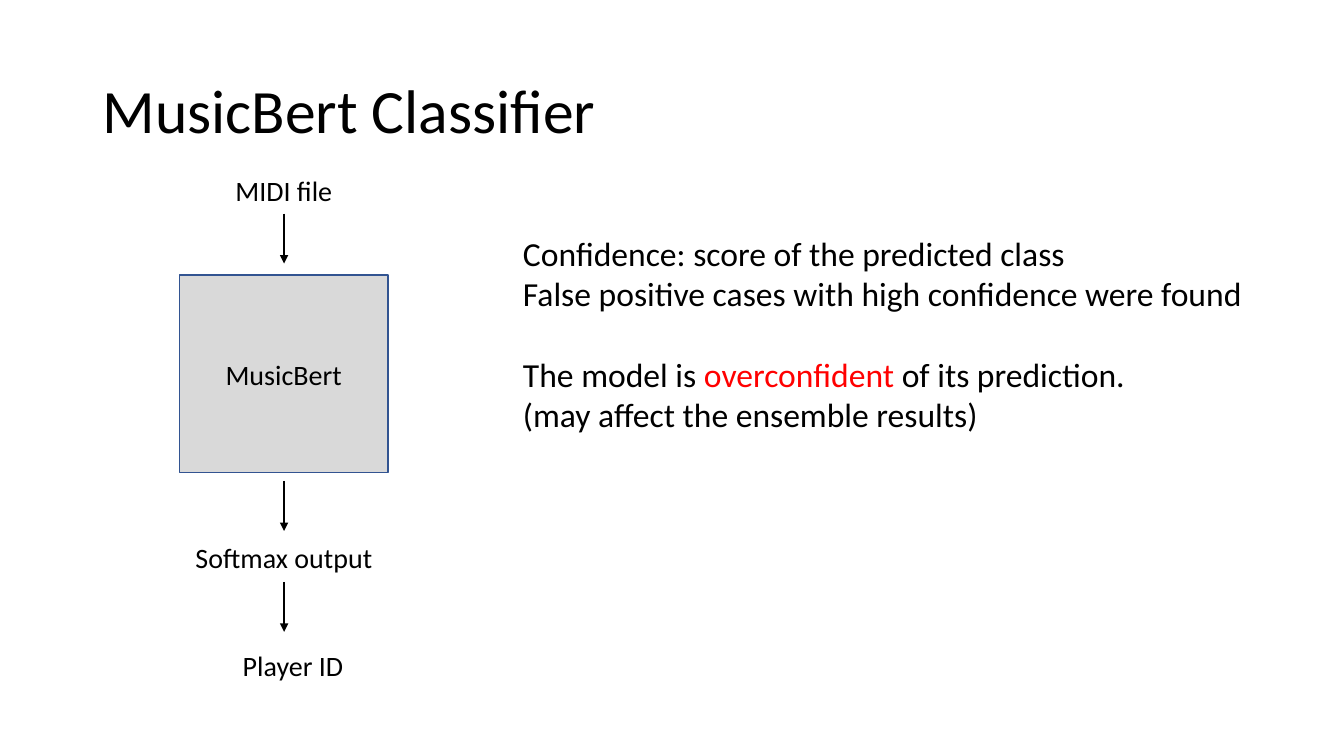
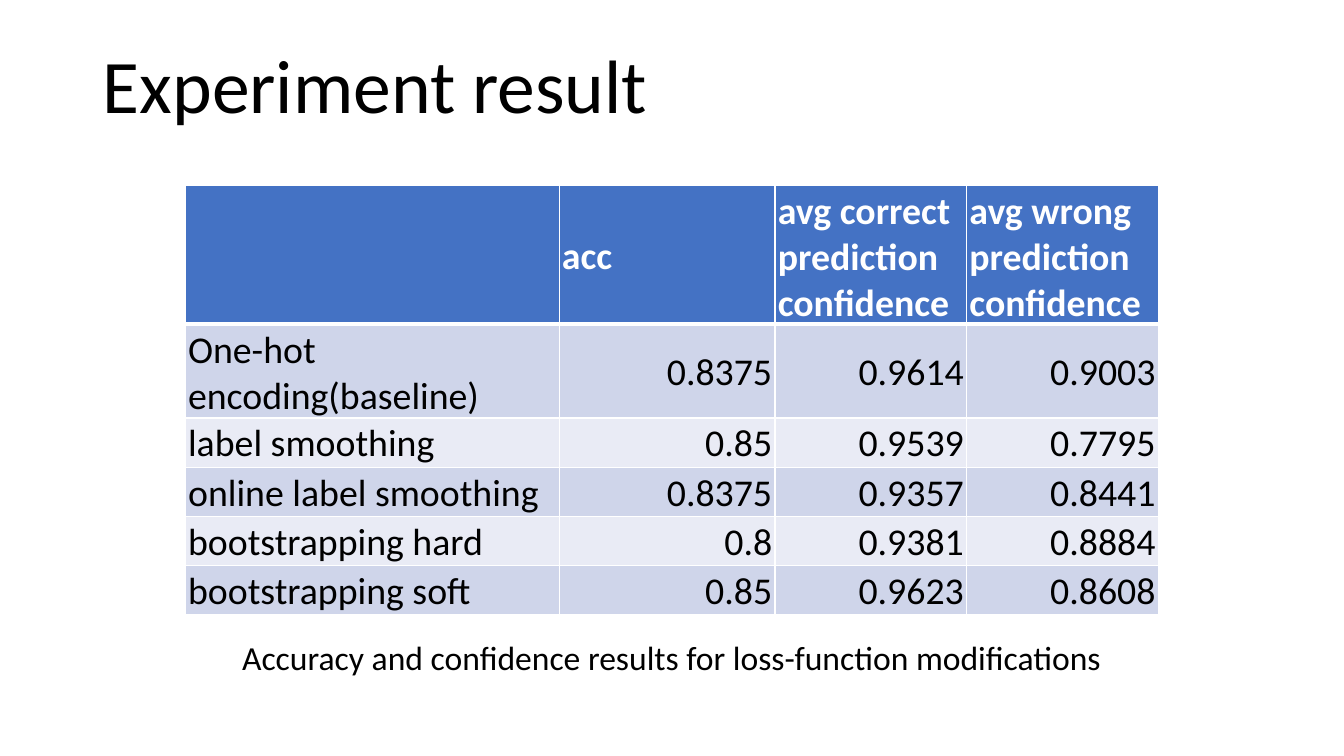
from lxml import etree
from pptx import Presentation
from pptx import util as u
from pptx.dml.color import RGBColor
from pptx.enum import shapes, text
from pptx.oxml.ns import qn

COLORS = {
    "text": "000000", "accent": "FF0000", "box": "D9D9D9", "outline": "325491",
    "header": "4472C4", "white": "FFFFFF", "band_dark": "CFD5EA", "band_light": "E9EBF5",
}
FONT = "Calibri"
LEFT, CENTER, RIGHT = text.PP_ALIGN.LEFT, text.PP_ALIGN.CENTER, text.PP_ALIGN.RIGHT
TOP, MIDDLE, BOTTOM = text.MSO_ANCHOR.TOP, text.MSO_ANCHOR.MIDDLE, text.MSO_ANCHOR.BOTTOM


def write(frame, paragraphs, size, align=LEFT, bold=False):
    """Fill a text frame; each paragraph is a list of (words, color name) runs."""
    frame.word_wrap = True
    for index, runs in enumerate(paragraphs):
        paragraph = frame.paragraphs[0] if index == 0 else frame.add_paragraph()
        paragraph.alignment = align
        for words, color in runs:
            run = paragraph.add_run()
            run.text = words
            run.font.name = FONT
            run.font.size = u.Pt(size)
            run.font.bold = bold
            run.font.color.rgb = RGBColor.from_string(COLORS[color])


def add_text(slide, area, paragraphs, size, align=LEFT, anchor=TOP):
    """Add a text box at (left, top, width, height) in centimetres."""
    frame = slide.shapes.add_textbox(*map(u.Cm, area)).text_frame
    frame.vertical_anchor = anchor
    write(frame, paragraphs, size, align)
    return frame


presentation = Presentation()
presentation.slide_width, presentation.slide_height = u.Cm(33.87), u.Cm(19.05)

# Slides and their titles
titles = [
    ("MusicBert Classifier", 1.02, 3.68, 44, MIDDLE),
    ("Experiment result", 0.81, 2.59, 54, BOTTOM),
]
slides = []
for title, top, height, size, anchor in titles:
    slide = presentation.slides.add_slide(presentation.slide_layouts[6])
    frame = add_text(slide, (2.34, top, 29.21, height), [[(title, "text")]], size, anchor=anchor)
    frame.paragraphs[0].line_spacing = 0.9
    slides.append(slide)
classifier_slide, result_slide = slides

# Classifier: model box
model = classifier_slide.shapes.add_shape(
    shapes.MSO_SHAPE.RECTANGLE, u.Cm(4.52), u.Cm(6.93), u.Cm(5.26), u.Cm(4.98))
model.shadow.inherit = False
model.fill.solid()
model.fill.fore_color.rgb = RGBColor.from_string(COLORS["box"])
model.line.color.rgb = RGBColor.from_string(COLORS["outline"])
model.line.width = u.Pt(1)
model.text_frame.vertical_anchor = MIDDLE
write(model.text_frame, [[("MusicBert", "text")]], 20, CENTER)

# Classifier: labels of the flow
for label, left, top in [("MIDI file", 3.61, 4.24), ("Softmax output", 3.61, 13.49),
                         ("Player ID", 3.84, 16.21)]:
    add_text(classifier_slide, (left, top, 7.09, 1.12), [[(label, "text")]], 20, CENTER)

# Classifier: arrows on the axis of the flow
axis, arrow_length = u.Cm(7.16), 1.26
for top in (5.38, 12.12, 14.66):
    arrow = classifier_slide.shapes.add_connector(
        shapes.MSO_CONNECTOR.STRAIGHT, axis, u.Cm(top), axis, u.Cm(top + arrow_length))
    arrow.line.color.rgb = RGBColor.from_string(COLORS["text"])
    arrow.line.width = u.Pt(1.5)
    etree.SubElement(arrow.line._get_or_add_ln(), qn("a:tailEnd"), type="triangle")
    etree.SubElement(arrow._element.spPr, qn("a:effectLst"))

# Classifier: remarks in two groups
remarks = add_text(classifier_slide, (12.93, 5.74, 19.41, 5.38), [
    [("Confidence: score of the predicted class", "text")],
    [("False positive cases with high confidence were found", "text")],
    [("The model is ", "text"), ("overconfident", "accent"), (" of its prediction.", "text")],
    [("(may affect the ensemble results)", "text")],
], 24)
remarks.paragraphs[2].space_before = u.Pt(29)

# Result: table
rows = [
    ("", "acc", "avg correct prediction confidence", "avg wrong prediction confidence"),
    ("One-hot encoding(baseline)", "0.8375", "0.9614", "0.9003"),
    ("label smoothing", "0.85", "0.9539", "0.7795"),
    ("online label smoothing", "0.8375", "0.9357", "0.8441"),
    ("bootstrapping hard", "0.8", "0.9381", "0.8884"),
    ("bootstrapping soft", "0.85", "0.9623", "0.8608"),
]
column_widths = [9.42, 5.44, 4.83, 4.83]
row_heights = [3.18, 2.21] + [1.24] * 4
table = result_slide.shapes.add_table(
    len(rows), len(column_widths), u.Cm(4.67), u.Cm(4.67),
    u.Cm(sum(column_widths)), u.Cm(sum(row_heights))).table
for column, width in zip(table.columns, column_widths):
    column.width = u.Cm(width)
for row, height in zip(table.rows, row_heights):
    row.height = u.Cm(height)

for row_index, row in enumerate(rows):
    is_header = row_index == 0
    fill = "header" if is_header else "band_dark" if row_index % 2 else "band_light"
    # A thick rule separates the header from the body
    borders = {"lnL": 1, "lnR": 1, "lnT": 3 if row_index == 1 else 1, "lnB": 3 if is_header else 1}
    for column_index, words in enumerate(row):
        cell = table.cell(row_index, column_index)
        cell.margin_left = cell.margin_right = cell.margin_top = u.Cm(0.07)
        cell.margin_bottom = 0
        cell.vertical_anchor = MIDDLE
        properties = cell._tc.get_or_add_tcPr()
        for side, points in borders.items():
            border = etree.SubElement(properties, qn("a:" + side), w=str(u.Pt(points)))
            border_fill = etree.SubElement(border, qn("a:solidFill"))
            etree.SubElement(border_fill, qn("a:srgbClr"), val=COLORS["white"])
        cell.fill.solid()
        cell.fill.fore_color.rgb = RGBColor.from_string(COLORS[fill])
        if words:
            align = LEFT if is_header or column_index == 0 else RIGHT
            color = "white" if is_header else "text"
            write(cell.text_frame, [[(words, color)]], 27, align, is_header)

# Result: caption
add_text(result_slide, (4.9, 15.93, 24.05, 1.27),
         [[("Accuracy and confidence results for loss-function modifications", "text")]], 24, CENTER)

presentation.save("out.pptx")
